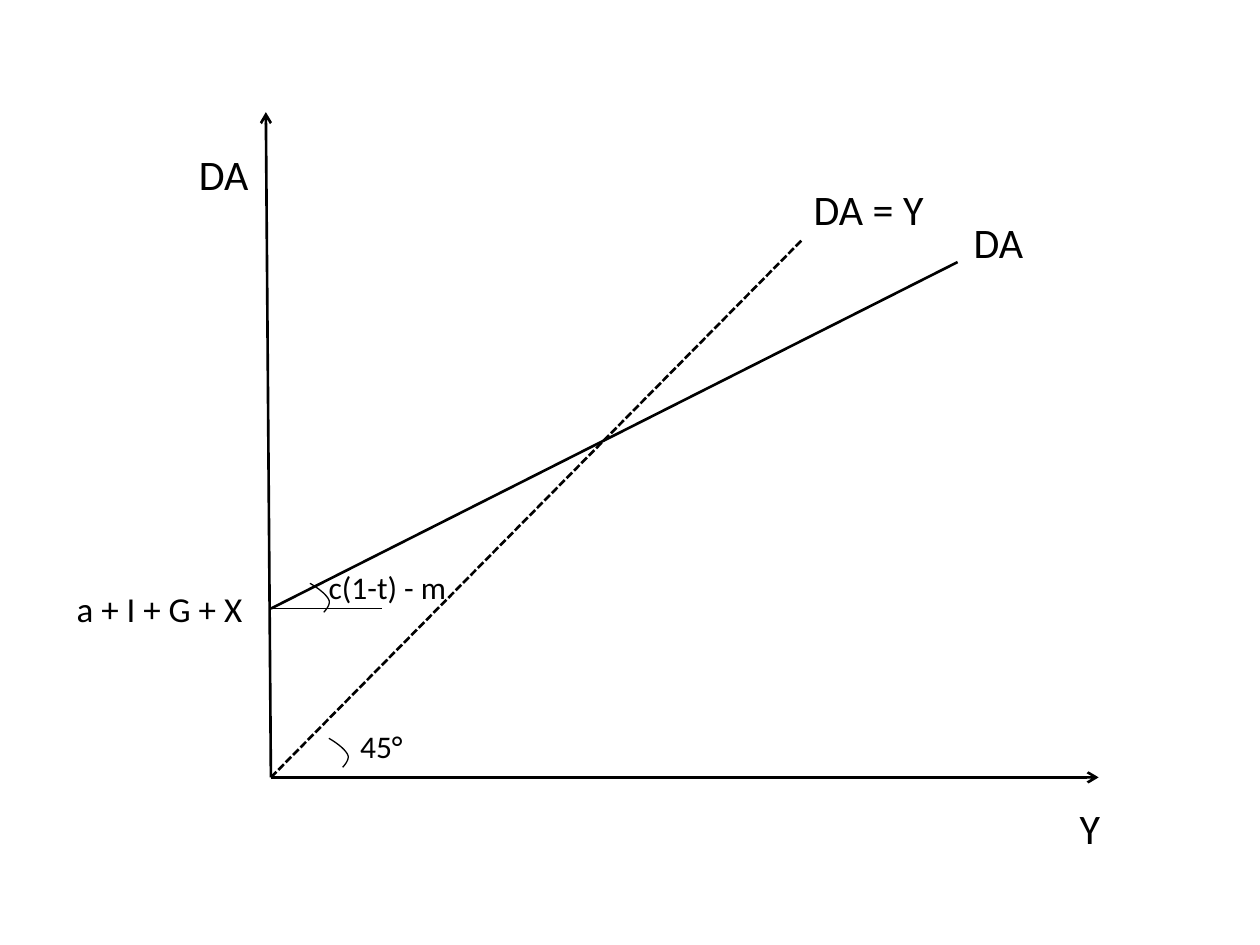
from lxml import etree
from pptx import Presentation
from pptx.dml.color import RGBColor
from pptx.enum import dml, shapes, text
from pptx.oxml import ns
from pptx.util import Inches, Pt

BLACK = "000000"
ORIGIN = (2.15, 6.17)
INTERCEPT = (2.15, 4.83)
ARC_CURVES = [
    [(0, 0), (0.07, 0.04), (0.13, 0.09), (0.15, 0.13)],
    [(0.15, 0.13), (0.17, 0.17), (0.11, 0.23), (0.11, 0.23)],
]
STEPS = 12


def color(value):
    return RGBColor.from_string(value)


def style_line(line, width, dash=None):
    line.color.rgb = color(BLACK)
    line.width = Pt(width)
    if dash:
        line.dash_style = dash


def add_line(page, start, end, width=1.5, dash=None, arrow=False):
    points = [Inches(value) for value in (*start, *end)]
    connector = page.shapes.add_connector(shapes.MSO_CONNECTOR.STRAIGHT, *points)
    style_line(connector.line, width, dash)
    if arrow:
        outline = connector.line._get_or_add_ln()
        etree.SubElement(outline, ns.qn("a:tailEnd"), type="arrow")
    etree.SubElement(connector._element.spPr, ns.qn("a:effectLst"))


def add_label(page, wording, left, top, width, height, size=24):
    box = page.shapes.add_textbox(*map(Inches, (left, top, width, height)))
    frame = box.text_frame
    frame.text = wording
    frame.word_wrap = False
    frame.auto_size = text.MSO_AUTO_SIZE.SHAPE_TO_FIT_TEXT
    font = frame.paragraphs[0].runs[0].font
    font.name = "Calibri"
    font.size = Pt(size)
    font.color.rgb = color(BLACK)


def curve_point(curve, t):
    weights = ((1 - t) ** 3, 3 * t * (1 - t) ** 2, 3 * t**2 * (1 - t), t**3)
    return tuple(sum(w * p[axis] for w, p in zip(weights, curve)) for axis in (0, 1))


def add_angle_arc(page, left, top):
    points = [
        (Inches(left + x), Inches(top + y))
        for curve in ARC_CURVES
        for x, y in (curve_point(curve, step / STEPS) for step in range(1, STEPS + 1))
    ]
    builder = page.shapes.build_freeform(Inches(left), Inches(top))
    builder.add_line_segments(points, close=False)
    arc = builder.convert_to_shape()
    arc.shadow.inherit = False
    arc.fill.background()
    style_line(arc.line, 0.75)


def main():
    deck = Presentation()
    deck.slide_width, deck.slide_height = Inches(10), Inches(7.5)
    page = deck.slides.add_slide(deck.slide_layouts[6])

    add_line(page, ORIGIN, (2.11, 0.89), arrow=True)
    add_line(page, ORIGIN, (8.72, 6.17), arrow=True)
    add_line(page, ORIGIN, (6.36, 1.91), dash=dml.MSO_LINE.SQUARE_DOT)
    add_line(page, INTERCEPT, (7.6, 2.08))
    add_line(page, INTERCEPT, (3.03, 4.83), width=0.75)

    add_label(page, "DA", 1.48, 1.13, 0.6, 0.5)
    add_label(page, "Y", 8.47, 6.32, 0.37, 0.5)
    add_label(page, "DA = Y", 6.36, 1.41, 1.08, 0.5)
    add_label(page, "DA", 7.63, 1.67, 0.6, 0.5)
    add_label(page, "45°", 2.76, 5.72, 0.54, 0.4, size=18)
    add_label(page, "a + I + G + X", 0.51, 4.61, 1.53, 0.44, size=20)
    add_label(page, "c(1-t) - m", 2.51, 4.46, 1.15, 0.4, size=18)

    add_angle_arc(page, 2.61, 5.86)
    add_angle_arc(page, 2.46, 4.63)

    deck.save("out.pptx")


main()
